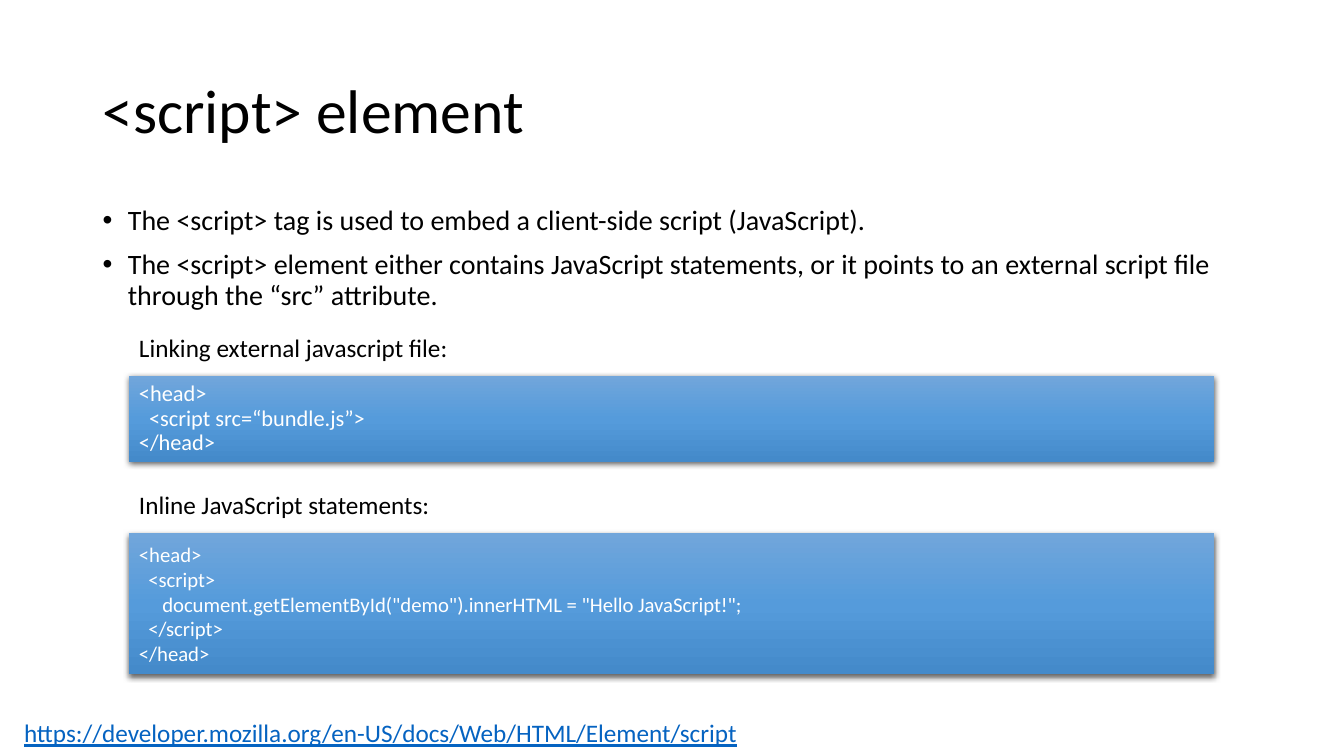
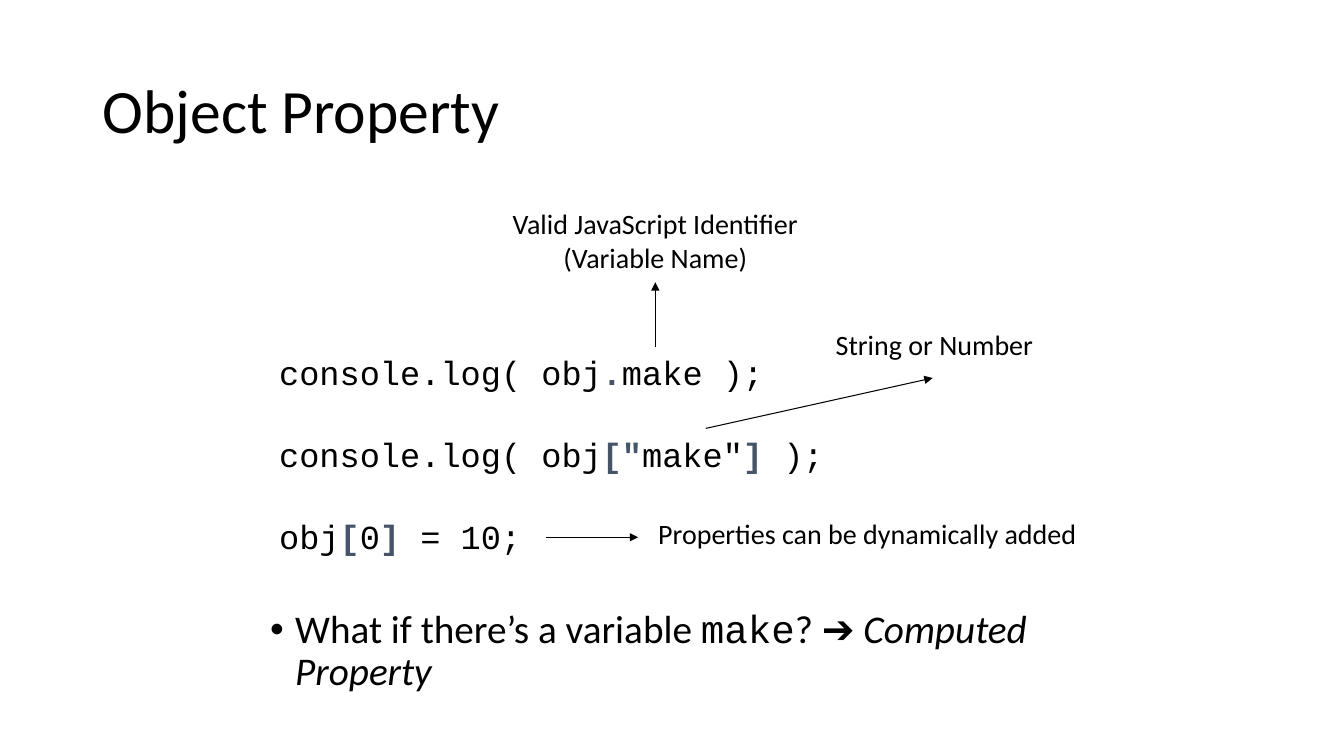
"""Build two slides about scripts and object properties."""
from copy import deepcopy

from lxml.etree import SubElement
from pptx import Presentation
from pptx.dml.color import RGBColor
from pptx.enum.shapes import MSO_CONNECTOR, MSO_SHAPE
from pptx.enum.text import MSO_ANCHOR, PP_ALIGN
from pptx.oxml.ns import qn
from pptx.util import Inches, Pt

BLACK, WHITE, SLATE, LINK = "000000", "FFFFFF", "44546A", "0563C1"
SHADES = [(0, "71A6DB"), (0.5, "559BDB"), (1, "448ACA")]
SANS, MONO = "Calibri", "Courier New"
MARK = {"color": SLATE, "bold": True}
BODY = {"line_spacing": 0.9, "space_before": Pt(10)}


def tint(value):
    """Turn a hex string into a colour."""
    return RGBColor.from_string(value)


def apply(target, values):
    """Set each format value on the target."""
    for name, value in values.items():
        if name == "color":
            target.color.rgb = tint(value)
        else:
            setattr(target, name, value)


def child(parent, tag, **attrs):
    """Add a drawing element with attributes."""
    return SubElement(parent, qn(tag), **attrs)


def bullet(para):
    """Give a paragraph a hanging bullet."""
    props = para._p.get_or_add_pPr()
    props.set("marL", str(Inches(0.25)))
    props.set("indent", str(-Inches(0.25)))
    child(props, "a:buFont", typeface="Arial")
    child(props, "a:buChar", char="•")


def write(shape, lines, size, font=SANS, color=BLACK, form=None, dots=False,
          anchor=MSO_ANCHOR.TOP):
    """Fill a shape with paragraphs of plain or marked runs."""
    frame = shape.text_frame
    apply(frame, {"word_wrap": True, "vertical_anchor": anchor})
    for i, line in enumerate(lines):
        para = frame.add_paragraph() if i else frame.paragraphs[0]
        if dots:
            bullet(para)
        apply(para, {"alignment": PP_ALIGN.LEFT, **(form or {})})
        if not i:
            para.space_before = Pt(0)
        for part in [line] if isinstance(line, str) else line:
            words, extra = (part, {}) if isinstance(part, str) else part
            run = para.add_run()
            run.text = words
            apply(run.font, {"name": font, "size": Pt(size), "color": color, **extra})


def text(slide, place, lines, size, **style):
    """Add a text box."""
    box = slide.shapes.add_textbox(*map(Inches, place))
    write(box, lines, size, **style)
    return box


def page(deck, title):
    """Add a blank slide with its title."""
    slide = deck.slides.add_slide(deck.slide_layouts[6])
    text(slide, (0.92, 0.4, 11.5, 1.45), [title], 44,
         form={"line_spacing": 0.9}, anchor=MSO_ANCHOR.MIDDLE)
    return slide


def shade(shape):
    """Give a shape the blue blend and a soft shadow."""
    fill = shape.fill
    fill.gradient()
    fill.gradient_angle = 270
    props = shape._element.spPr
    stops = props.find(qn("a:gradFill")).find(qn("a:gsLst"))
    stops.append(deepcopy(stops[-1]))
    for stop, (spot, color) in zip(fill.gradient_stops, SHADES):
        stop.position = spot
        stop.color.rgb = tint(color)
    shape.line.fill.background()
    shape.shadow.inherit = False
    glow = child(props.find(qn("a:effectLst")), "a:outerShdw", blurRad=str(Pt(4.5)),
                 dist=str(Pt(1.5)), dir="5400000", algn="ctr", rotWithShape="0")
    child(child(glow, "a:srgbClr", val=BLACK), "a:alpha", val="63000")


def sample(slide, top, high, label, lines, size, form=None):
    """Add a label with a code panel below it."""
    text(slide, (1.28, top - 0.48, 3.55, 0.4), [label], 18)
    panel = slide.shapes.add_shape(
        MSO_SHAPE.RECTANGLE, *map(Inches, (1.28, top, 10.76, high)))
    shade(panel)
    write(panel, lines, size, color=WHITE, form=form, anchor=MSO_ANCHOR.MIDDLE)


def arrow(slide, start, end, goal=None):
    """Draw a thin arrow, joined to the goal's base if given."""
    line = slide.shapes.add_connector(
        MSO_CONNECTOR.STRAIGHT, *map(Inches, (*start, *end)))
    if goal:
        line.end_connect(goal, 2)
    apply(line.line, {"color": BLACK, "width": Pt(0.75)})
    child(line.line._get_or_add_ln(), "a:tailEnd", type="triangle")
    child(line._element.spPr, "a:effectLst")


def script_page(deck):
    """Build the slide on the script element."""
    slide = page(deck, "<script> element")
    text(slide, (0.92, 2, 11.5, 1.2), [
        "The <script> tag is used to embed a client-side script (JavaScript).",
        "The <script> element either contains JavaScript statements, or it points "
        "to an external script file through the “src” attribute.",
    ], 20, form=BODY, dots=True)
    sample(slide, 3.73, 0.85, "Linking external javascript file:", [
        "<head>",
        "  <script src=“bundle.js”>",
        "</head>",
    ], 16, {"line_spacing": 0.9})
    sample(slide, 5.29, 1.4, "Inline JavaScript statements:", [
        "<head>",
        "  <script>",
        '     document.getElementById("demo").innerHTML = "Hello JavaScript!";',
        "  </script>",
        "</head>",
    ], 14.8)
    text(slide, (0.14, 7.07, 12.53, 0.4), [
        [("https://developer.mozilla.org/en-US/docs/Web/HTML/Element/script",
          {"color": LINK, "underline": True})],
    ], 18)


def object_page(deck):
    """Build the slide on object properties."""
    slide = page(deck, "Object Property")
    text(slide, (2.58, 6, 8.5, 1.19), [
        ["What if there’s a variable ", ("make", {"name": MONO}), "? ➔ ",
         ("Computed Property", {"italic": True})],
    ], 28, form=BODY, dots=True)
    text(slide, (2.67, 3.44, 5.65, 2.12), [
        ["console.log( obj", (".", MARK), "make );"],
        ["console.log( obj", ('["', MARK), 'make"', ("]", MARK), " );"],
        ["obj", ("[", MARK), "0", ("]", MARK), " = 10;"],
    ], 24, font=MONO, form={"space_before": Pt(30)})
    name = text(slide, (4.97, 2, 3.06, 0.8), [
        "Valid JavaScript Identifier", "(Variable Name)",
    ], 20, form={"alignment": PP_ALIGN.CENTER})
    text(slide, (8.19, 3.2, 2.18, 0.44), ["String or Number"], 20)
    text(slide, (6.43, 5.07, 4.39, 0.44), ["Properties can be dynamically added"], 20)
    arrow(slide, (6.5, 3.44), (6.5, 2.8), name)
    arrow(slide, (7, 4.25), (9.25, 3.75))
    arrow(slide, (5.42, 5.33), (6.33, 5.33))


def main():
    """Build and save the deck."""
    deck = Presentation()
    apply(deck, {"slide_width": Inches(13.33), "slide_height": Inches(7.5)})
    script_page(deck)
    object_page(deck)
    deck.save("out.pptx")


if __name__ == "__main__":
    main()
